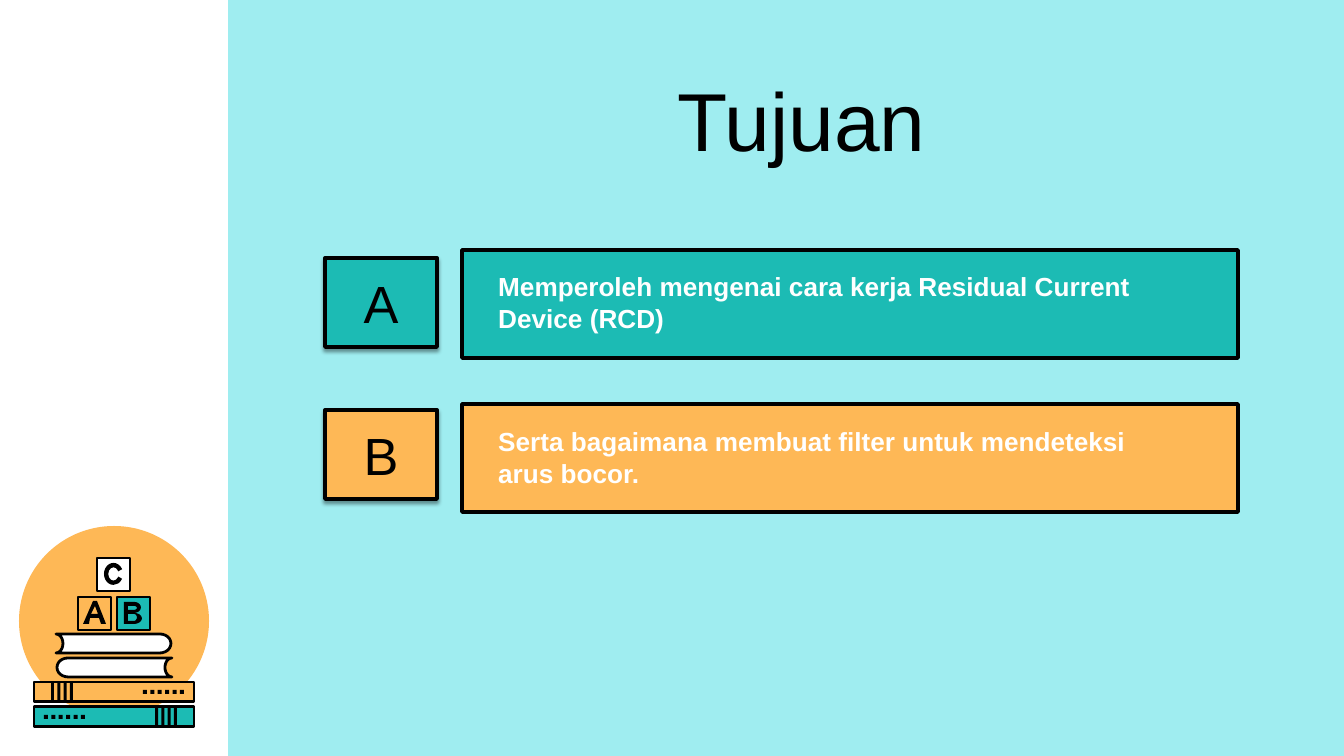
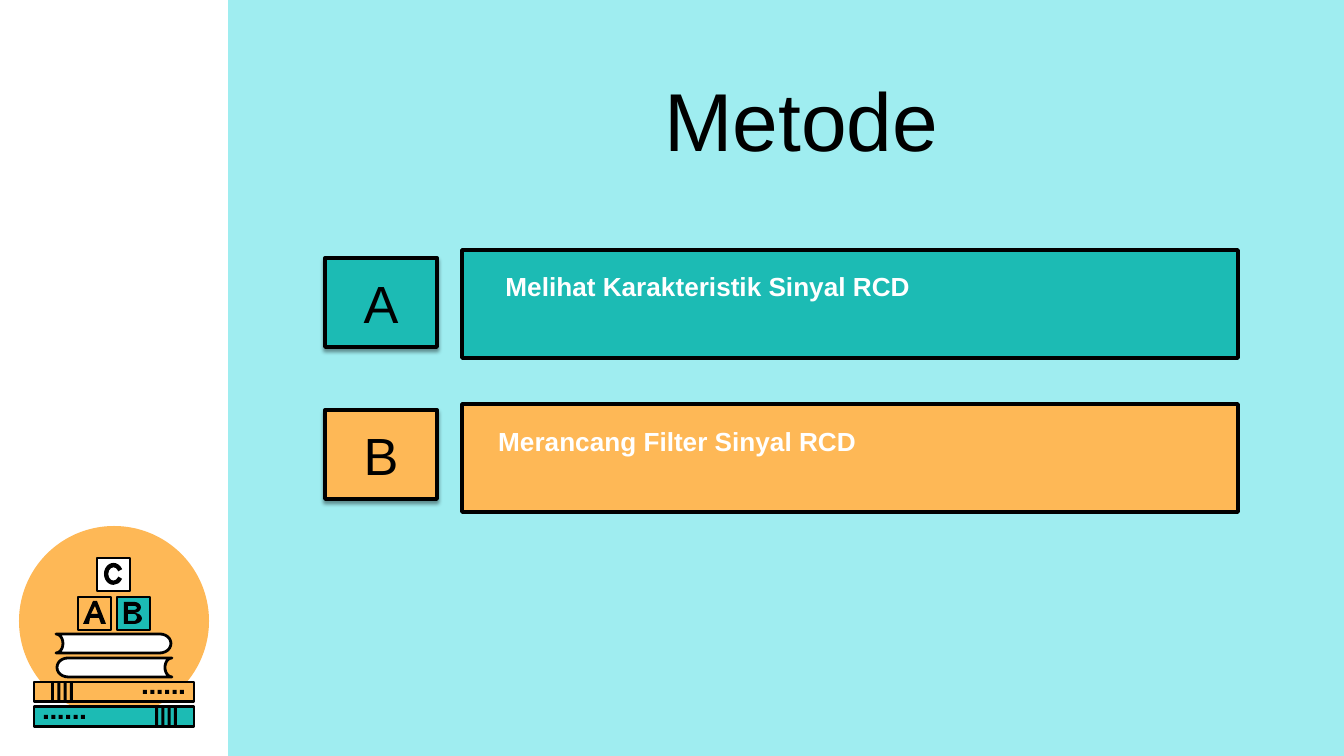
import math

from lxml import etree
from pptx import Presentation, util as u
from pptx.dml.color import RGBColor
from pptx.enum import shapes, text
from pptx.oxml.ns import qn

AQUA = RGBColor(0x9F, 0xED, 0xF0)
TEAL = RGBColor(0x1C, 0xBB, 0xB4)
AMBER = RGBColor(0xFE, 0xB8, 0x56)
BLACK = RGBColor(0, 0, 0)
WHITE = RGBColor(0xFF, 0xFF, 0xFF)
FONT = "Arial"
PX = 914400 / 134.4  # EMU per pixel
SIDE = 228  # width of the white side strip, also the mirror axis of the books
RECT = shapes.MSO_SHAPE.RECTANGLE

CONTENT = [
    ("Tujuan", ["Memperoleh mengenai cara kerja Residual Current Device (RCD)",
                "Serta bagaimana membuat filter untuk mendeteksi arus bocor."]),
    ("Metode", [" Melihat Karakteristik Sinyal RCD", "Merancang Filter Sinyal RCD"]),
]


def add_box(parent, x, y, w, h, fill, line=0, kind=RECT):
    sp = parent.add_shape(kind, *[round(v * PX) for v in (x, y, w, h)])
    sp.shadow.inherit = False
    sp.fill.solid()
    sp.fill.fore_color.rgb = fill
    if line:
        sp.line.color.rgb = BLACK
        sp.line.width = u.Pt(line)
    else:
        sp.line.fill.background()
    return sp


def half_round(x, top, bottom, bulge):
    """Points of a curve bulging to the right, from top to bottom."""
    middle, ry = (top + bottom) / 2, (bottom - top) / 2
    angles = [math.pi * i / 12 for i in range(13)]
    return [(x + bulge * math.sin(a), middle - ry * math.cos(a)) for a in angles]


prs = Presentation()
prs.slide_width, prs.slide_height = round(1344 * PX), round(756 * PX)
layout = prs.slide_layouts[5]
slides = [prs.slides.add_slide(layout) for _ in CONTENT]

# Shared background: panel and badge
group = slides[0].shapes.add_group_shape()
art = group.shapes
add_box(art, SIDE, 0, 1344 - SIDE, 756, AQUA)
add_box(art, 19, 526, 190, 190, AMBER, kind=shapes.MSO_SHAPE.OVAL)

# Two closed books, the lower one mirrored
for y, fill, mirrored in ((682, AMBER, False), (707, TEAL, True)):
    add_box(art, 34, y, 160, 20, fill, 1.5)
    marks = [(51 + 6.3 * i, y, 3, 20) for i in range(4)]
    marks += [(143 + 7.4 * i, y + 8, 4, 4) for i in range(6)]
    for x, top, w, h in marks:
        add_box(art, SIDE - x - w if mirrored else x, top, w, h, BLACK)

# Letter blocks
for x, y, fill in ((78, 597, AMBER), (117, 597, TEAL), (97, 558, WHITE)):
    add_box(art, x, y, 33, 33, fill, 1.5)
letter_c = add_box(art, 104, 563, 19, 22, BLACK, kind=shapes.MSO_SHAPE.BLOCK_ARC)
for i, value in enumerate((17.567, 198.895, 0.228)):
    letter_c.adjustments[i] = value

# Letters A and B and two rounded books, each a list of contours
letter_a = [
    [(93, 601), (97, 601), (106, 624), (101, 624), (99, 618), (90, 618), (89, 624), (83, 624)],
    [(95, 606), (91, 614), (98, 614)],
]
letter_b = [
    [(124, 602)] + half_round(134, 602, 613, 7) + half_round(134, 613, 624, 8) + [(124, 624)],
    [(128, 606)] + half_round(134, 606, 610, 3) + [(128, 610)],
    [(128, 614)] + half_round(134, 614, 621, 3) + [(128, 621)],
]
upper_book = half_round(160, 634, 653, 11) + half_round(56, 634, 653, 7)[::-1]
lower_book = [(SIDE - x, y + 24) for x, y in upper_book]
for contours, fill, line in ((letter_a, BLACK, 0), (letter_b, BLACK, 0),
                             ([upper_book], WHITE, 1.5), ([lower_book], WHITE, 1.5)):
    contours = [[(x * PX, y * PX) for x, y in c] for c in contours]
    builder = art.build_freeform(*contours[0][0])
    for i, contour in enumerate(contours):
        if i:
            builder.move_to(*contour[0])
        builder.add_line_segments(contour[1:], close=True)
    sp = builder.convert_to_shape()
    sp.shadow.inherit = False
    sp.fill.solid()
    sp.fill.fore_color.rgb = fill
    if line:
        sp.line.color.rgb = BLACK
        sp.line.width = u.Pt(line)
    else:
        sp.line.fill.background()

# The background belongs to the layout, so every slide shows it
layout.shapes.element.append(group.element)

for s, (title, items) in zip(slides, CONTENT):
    # Title
    sp = s.shapes.title
    sp.left, sp.top, sp.width, sp.height = [round(v * PX) for v in (259, 60, 1085, 115)]
    tf = sp.text_frame
    tf.text = title
    tf.auto_size = text.MSO_AUTO_SIZE.NONE
    tf.vertical_anchor = text.MSO_ANCHOR.BOTTOM
    p = tf.paragraphs[0]
    p.alignment = text.PP_ALIGN.CENTER
    p.font.size, p.font.name = u.Pt(44), FONT
    p.font.color.rgb = BLACK

    # Lettered rows
    for i, (letter, item, fill) in enumerate(zip("AB", items, (TEAL, AMBER))):
        tile = add_box(s.shapes, 325, 258 + 152 * i, 112, 89, fill, 2)
        effects = tile.element.spPr.find(qn("a:effectLst"))
        shadow = etree.SubElement(effects, qn("a:outerShdw"), blurRad="25400",
                                  dist="19050", dir="5400000", algn="t", rotWithShape="0")
        color = etree.SubElement(shadow, qn("a:srgbClr"), val="000000")
        etree.SubElement(color, qn("a:alpha"), val="40000")
        tf = tile.text_frame
        tf.text = letter
        tf.word_wrap = False
        tf.vertical_anchor = text.MSO_ANCHOR.MIDDLE
        p = tf.paragraphs[0]
        p.alignment = text.PP_ALIGN.CENTER
        p.font.size, p.font.name = u.Pt(28), FONT
        p.font.color.rgb = BLACK

        add_box(s.shapes, 462, 250 + 154 * i, 776, 108, fill, 2)
        tb = s.shapes.add_textbox(*[round(v * PX) for v in (485, 264 + 155 * i, 699, 77)])
        tf = tb.text_frame
        tf.text = item
        tf.word_wrap = True
        p = tf.paragraphs[0]
        p.font.size, p.font.name, p.font.bold = u.Pt(14), FONT, True
        p.font.color.rgb = WHITE

prs.save("out.pptx")
